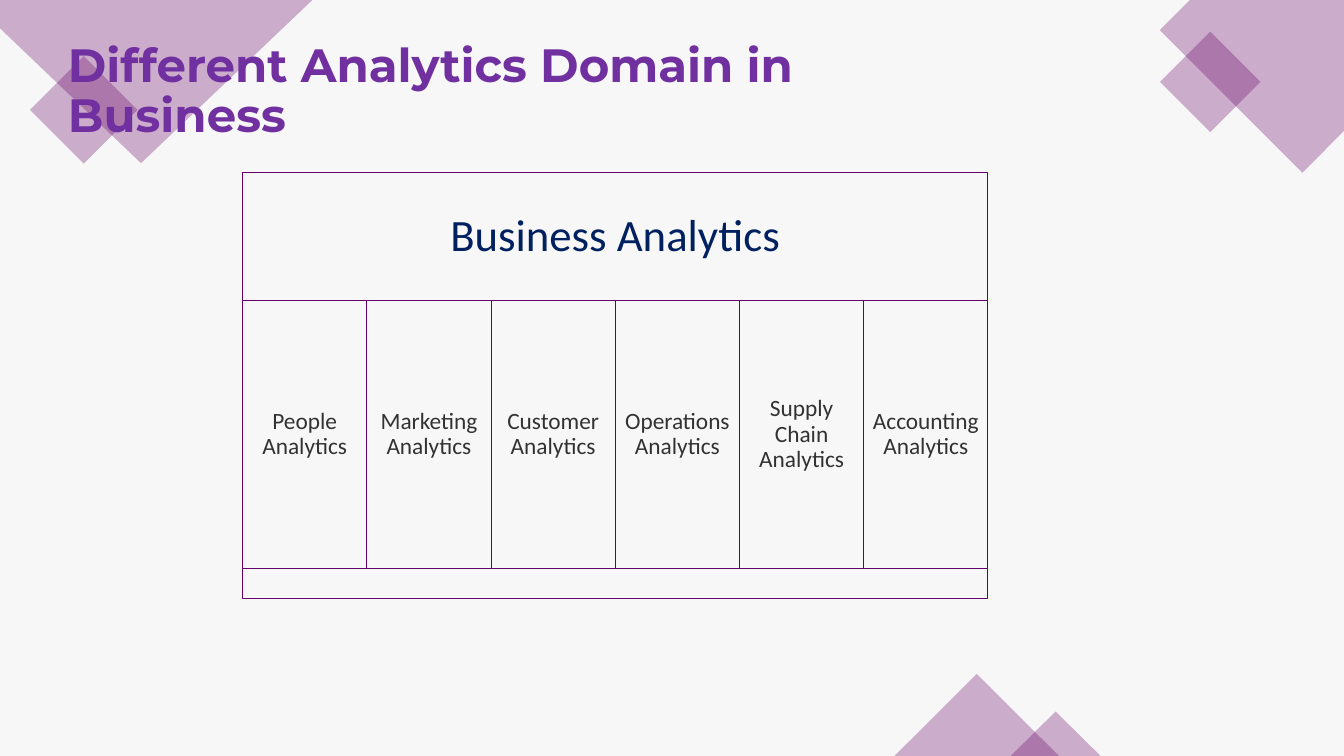
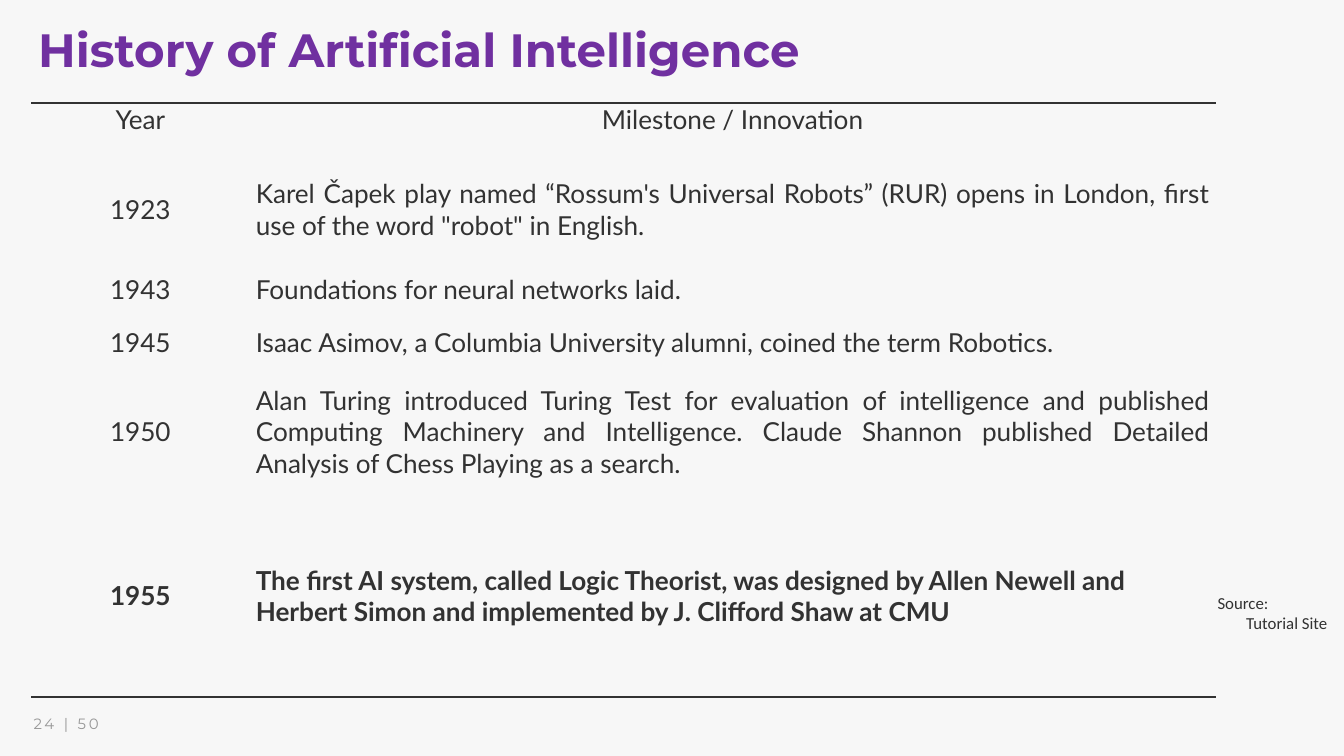
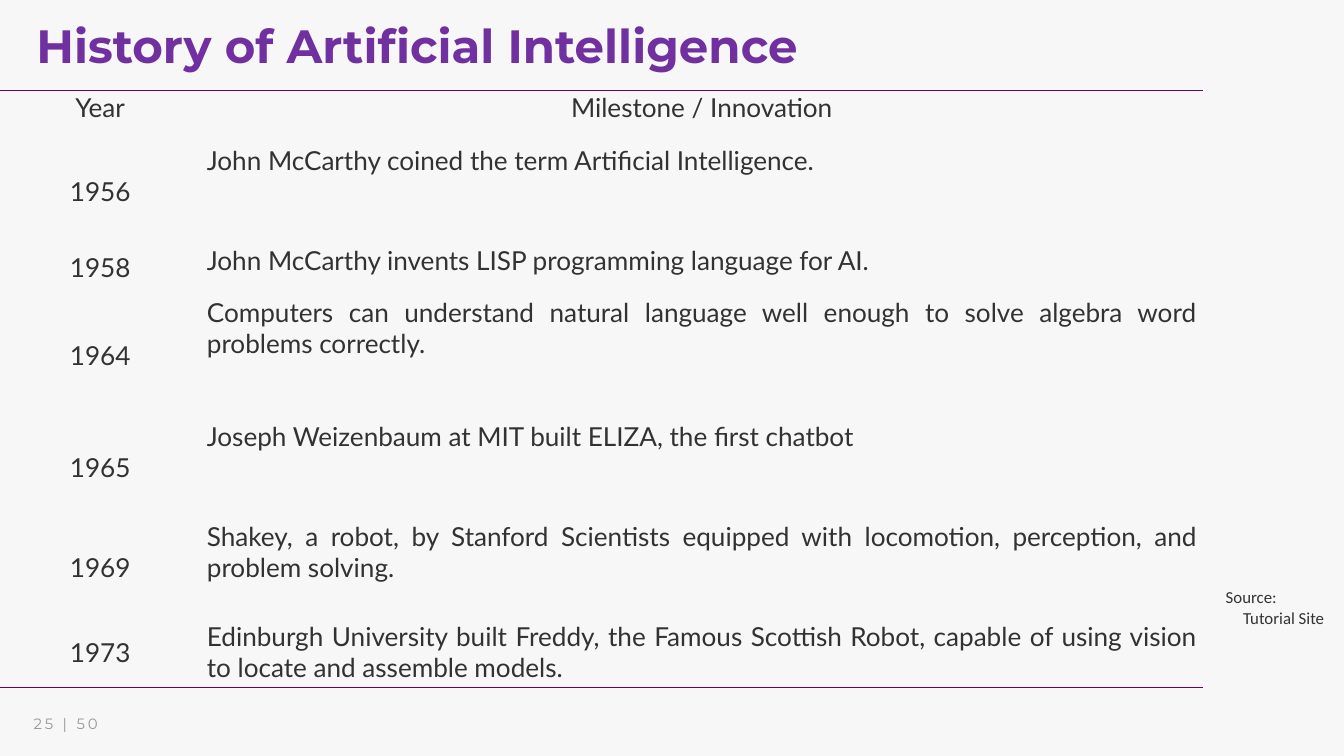
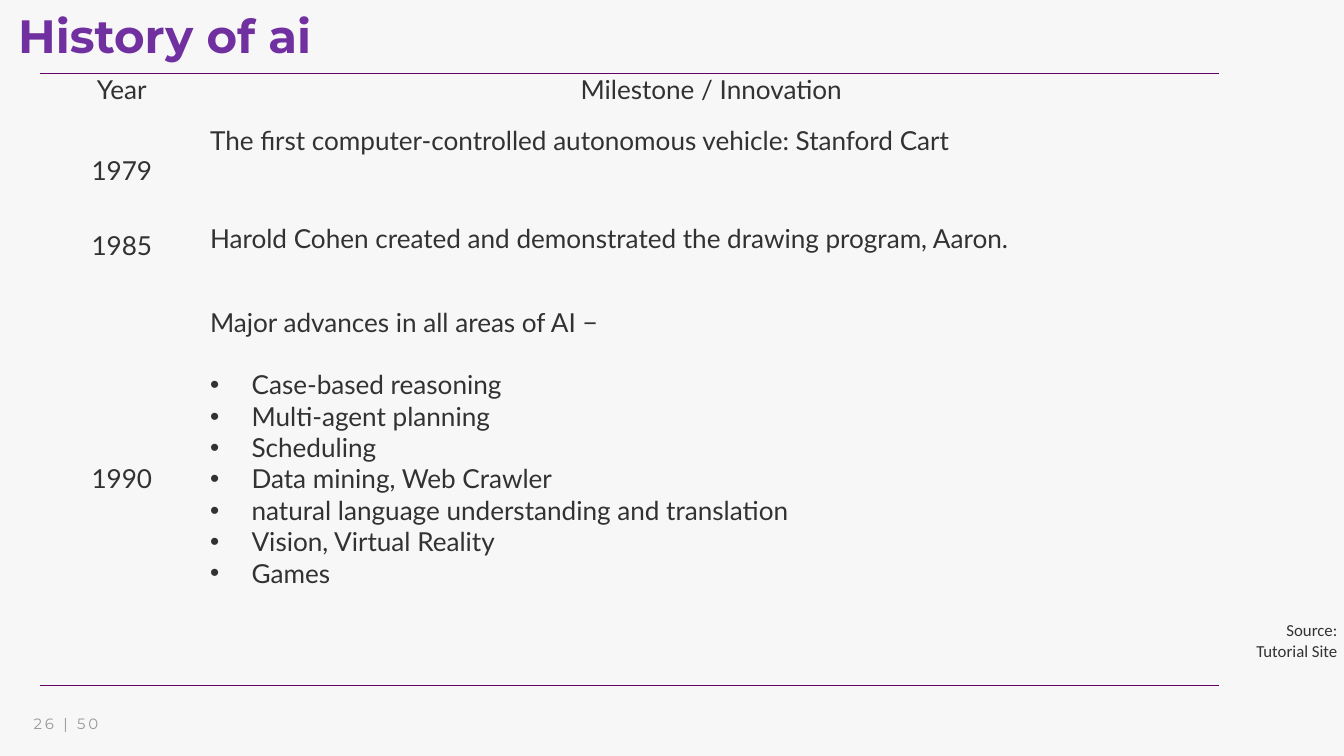
from dataclasses import dataclass

from lxml import etree
from pptx import Presentation
from pptx.dml.color import RGBColor
from pptx.enum.shapes import MSO_SHAPE as Shape
from pptx.enum.text import MSO_ANCHOR as Anchor, PP_ALIGN as Align
from pptx.oxml.ns import qn
from pptx.util import Cm, Pt

COLORS = {
    "page": "F7F7F7",
    "plum": "660066",
    "title": "7030A0",
    "navy": "002060",
    "ink": "323232",
    "grey": "989898",
}
NO_STYLE = "{2D5ABB26-0587-4C30-8999-92F81FD0307C}"
TITLE_ONLY = 5
BLANK_LINE = 33.6  # points, one line of table text
BULLET_INDENT = 1.57


@dataclass
class Box:
    x: float
    y: float
    w: float
    h: float

    def emu(self) -> tuple:
        return Cm(self.x), Cm(self.y), Cm(self.w), Cm(self.h)


@dataclass
class Milestone:
    height: float
    year: str
    text: str
    align: Align = Align.JUSTIFY
    bold: bool = False
    top: float = 0.13
    bullets: tuple = ()


@dataclass
class History:
    title: str
    title_box: Box
    page: str
    source_box: Box
    source_align: Align
    x: float
    y: float
    cols: tuple
    header_height: float
    milestones: list
    line: str = "plum"
    line_width: float = 1
    fill: str = ""
    anchor: Anchor = Anchor.TOP


DIAMONDS = [Box(1.73, 2.72, 2.87, 2.87), Box(44.4, 1.75, 2.69, 2.69)]
TRIANGLES = [Box(33.81, 25.48, 6.22, 3.1), Box(38.2, 26.9, 3.4, 1.68)]
CORNERS = [
    [(0, 0), (11.81, 0), (5.33, 6.17), (0, 1.07)],
    [(44.98, 0), (50.8, 0), (50.8, 4.95), (49.23, 6.53), (43.84, 1.14)],
]
DOMAINS = ["People", "Marketing", "Customer", "Operations", "Supply Chain", "Accounting"]

HISTORIES = [
    History(
        "History of Artificial Intelligence", Box(1.19, 0.89, 41.91, 2.82), "24 | 50",
        Box(45.77, 22.28, 4.65, 1.8), Align.LEFT, 1.19, 3.89, (8.23, 36.53), 2.03,
        [
            Milestone(3.99, "1923", "Karel Čapek play named “Rossum's Universal Robots” (RUR) opens "
                      "in London, first use of the word \"robot\" in English."),
            Milestone(2.03, "1943", "Foundations for neural networks laid."),
            Milestone(2.03, "1945", "Isaac Asimov, a Columbia University alumni, "
                      "coined the term Robotics."),
            Milestone(4.72, "1950", "Alan Turing introduced Turing Test for evaluation of "
                      "intelligence and published Computing Machinery and Intelligence. Claude "
                      "Shannon published Detailed Analysis of Chess Playing as a search."),
            Milestone(7.67, "1955", "The first AI system, called Logic Theorist, was designed by "
                      "Allen Newell and Herbert Simon and implemented by J. Clifford Shaw at CMU",
                      align=Align.LEFT, bold=True),
        ],
        line="ink", line_width=2, fill="page", anchor=Anchor.MIDDLE,
    ),
    History(
        "History of Artificial Intelligence", Box(1.12, 0.76, 41.91, 2.82), "25 | 50",
        Box(46.08, 22.07, 4.22, 1.8), Align.LEFT, 0, 3.43, (7.57, 37.9), 1.93,
        [
            Milestone(3.78, "1956", "John McCarthy coined the term Artificial Intelligence."),
            Milestone(1.93, "1958", "John McCarthy invents LISP programming language for AI."),
            Milestone(4.7, "1964", "Computers can understand natural language well enough to "
                      "solve algebra word problems correctly."),
            Milestone(3.78, "1965", "Joseph Weizenbaum at MIT built ELIZA, the first chatbot"),
            Milestone(3.78, "1969", "Shakey, a robot, by Stanford Scientists equipped with "
                      "locomotion, perception, and problem solving."),
            Milestone(2.64, "1973", "Edinburgh University built Freddy, the Famous Scottish "
                      "Robot, capable of using vision to locate and assemble models."),
        ],
    ),
    History(
        "History of ai", Box(0.43, 0.36, 41.91, 2.82), "26 | 50",
        Box(39.09, 23.32, 11.71, 1.8), Align.RIGHT, 1.52, 2.77, (6.17, 38.38), 1.8,
        [
            Milestone(3.71, "1979", "The first computer-controlled autonomous vehicle: "
                      "Stanford Cart"),
            Milestone(1.98, "1985", "Harold Cohen created and demonstrated the drawing program, "
                      "Aaron."),
            Milestone(15.65, "1990", "Major advances in all areas of AI −", top=1.32, bullets=(
                "Case-based reasoning", "Multi-agent planning", "Scheduling",
                "Data mining, Web Crawler", "natural language understanding and translation",
                "Vision, Virtual Reality", "Games")),
        ],
    ),
]


def rgb(name: str) -> RGBColor:
    return RGBColor.from_string(COLORS[name])


def write(tf, text: str, *, font="Lato", size=28, color="ink", bold=False, align=Align.LEFT,
          line=None, before=0, bullet=False, tracking=0) -> None:
    """Add one formatted paragraph, using the first one while it is empty."""
    p = tf.add_paragraph() if tf.text else tf.paragraphs[0]
    p.alignment = align
    if line:
        p.line_spacing = line
    if before:
        p.space_before = Pt(before)
    if bullet:
        pPr = p._p.get_or_add_pPr()
        pPr.set("marL", str(Cm(BULLET_INDENT)))
        pPr.set("indent", str(-Cm(BULLET_INDENT)))
        etree.SubElement(pPr, qn("a:buFont")).set("typeface", "Arial")
        etree.SubElement(pPr, qn("a:buChar")).set("char", "•")
    r = p.add_run()
    r.text = text
    r.font.name, r.font.size, r.font.bold = font, Pt(size), bold
    r.font.color.rgb = rgb(color)
    if tracking:
        r._r.get_or_add_rPr().set("spc", str(tracking * 100))


def set_margins(target, left: float, top: float, right: float, bottom: float) -> None:
    target.margin_left, target.margin_top = Cm(left), Cm(top)
    target.margin_right, target.margin_bottom = Cm(right), Cm(bottom)


def add_text_frame(s, box: Box):
    tf = s.shapes.add_textbox(*box.emu()).text_frame
    tf.word_wrap = True
    return tf


def set_title(s, text: str, box: Box) -> None:
    """Fill the title placeholder and bring it to the front."""
    sp = s.shapes.title
    sp.left, sp.top, sp.width, sp.height = box.emu()
    tf = sp.text_frame
    tf.word_wrap, tf.vertical_anchor = True, Anchor.TOP
    write(tf, text, font="Montserrat", size=50, color="title", bold=True, line=0.9)
    sp._element.getparent().append(sp._element)


def tint(sp) -> None:
    """Give a decoration its see-through plum fill."""
    sp.shadow.inherit = False
    sp.fill.solid()
    sp.fill.fore_color.rgb = rgb("plum")
    sp.line.fill.background()
    color = sp._element.spPr.find(".//" + qn("a:srgbClr"))
    etree.SubElement(color, qn("a:alpha")).set("val", "30000")


def add_decorations(s) -> None:
    for box in DIAMONDS:
        sp = s.shapes.add_shape(Shape.RECTANGLE, *box.emu())
        sp.rotation = 45
        tint(sp)
    for corner in CORNERS:
        start, *rest = [(Cm(x), Cm(y)) for x, y in corner]
        builder = s.shapes.build_freeform(*start)
        builder.add_line_segments(rest, close=True)
        tint(builder.convert_to_shape())
    for box in TRIANGLES:
        tint(s.shapes.add_shape(Shape.ISOSCELES_TRIANGLE, *box.emu()))


def add_panel(s, box: Box, text="", margin=0.25, **style) -> None:
    sp = s.shapes.add_shape(Shape.RECTANGLE, *box.emu())
    sp.shadow.inherit = False
    sp.fill.solid()
    sp.fill.fore_color.rgb = rgb("page")
    sp.line.color.rgb, sp.line.width = rgb("plum"), Pt(1)
    if text:
        tf = sp.text_frame
        tf.word_wrap, tf.vertical_anchor = True, Anchor.MIDDLE
        set_margins(tf, margin, margin, margin, margin)
        write(tf, text, font="Calibri", align=Align.CENTER, line=0.9, **style)


def add_domains_slide(prs) -> None:
    s = prs.slides.add_slide(prs.slide_layouts[TITLE_ONLY])
    add_decorations(s)
    set_title(s, "Different Analytics Domain in Business", Box(2.31, 1.45, 32.39, 4.78))
    left, top, width = 9.17, 6.53, 28.17
    head, body, foot = 4.83, 10.13, 1.12
    add_panel(s, Box(left, top, width, head), "Business Analytics", 0.51, size=48, color="navy")
    step = width / len(DOMAINS)
    for i, domain in enumerate(DOMAINS):
        add_panel(s, Box(left + i * step, top + head, step, body), f"{domain} Analytics", size=25)
    add_panel(s, Box(left, top + head + body, width, foot))


def add_border(cell, side: str, color: str, width: float) -> None:
    tcPr = cell._tc.get_or_add_tcPr()
    ln = etree.Element(qn(f"a:ln{side}"), w=str(Pt(width)))
    fill = etree.SubElement(ln, qn("a:solidFill"))
    etree.SubElement(fill, qn("a:srgbClr")).set("val", COLORS[color])
    tcPr.insert(0, ln)


def add_history_table(s, h: History) -> None:
    heights = [h.header_height] + [m.height for m in h.milestones]
    box = Box(h.x, h.y, sum(h.cols), sum(heights))
    table = s.shapes.add_table(len(heights), len(h.cols), *box.emu()).table
    table.first_row = table.horz_banding = False
    table._tbl.tblPr.find(qn("a:tableStyleId")).text = NO_STYLE
    for col, width in zip(table.columns, h.cols):
        col.width = Cm(width)
    for row, height in zip(table.rows, heights):
        row.height = Cm(height)
    for cell in table.iter_cells():
        if h.fill:
            cell.fill.solid()
            cell.fill.fore_color.rgb = rgb(h.fill)
        else:
            cell.fill.background()
        set_margins(cell, 0.03, 0.03, 0.03, 0.03)

    for i, label in enumerate(("Year", "Milestone / Innovation")):
        write(table.cell(0, i).text_frame, label, align=Align.CENTER)
        add_border(table.cell(0, i), "T", h.line, h.line_width)
        add_border(table.cell(len(h.milestones), i), "B", h.line, h.line_width)
    for i, m in enumerate(h.milestones, 1):
        year, event = table.cell(i, 0), table.cell(i, 1)
        year.vertical_anchor, event.vertical_anchor = Anchor.MIDDLE, h.anchor
        write(year.text_frame, m.year, align=Align.CENTER, bold=m.bold)
        set_margins(event, 0.25, m.top, 0.25, 0.13)
        write(event.text_frame, m.text, align=m.align, bold=m.bold)
        for j, item in enumerate(m.bullets):
            write(event.text_frame, item, bullet=True, before=0 if j else BLANK_LINE)


def add_history_slide(prs, h: History) -> None:
    s = prs.slides.add_slide(prs.slide_layouts[TITLE_ONLY])
    footer = add_text_frame(s, Box(1.27, 26.67, 6.83, 0.91))
    set_margins(footer, 0, 0, 0.25, 0)
    write(footer, h.page, font="Montserrat", size=16, color="grey", line=1.5, tracking=3)
    set_title(s, h.title, h.title_box)
    source = add_text_frame(s, h.source_box)
    write(source, "Source:", font="Calibri", size=18, align=h.source_align)
    write(source, "Tutorial Site", font="Calibri", size=18, align=Align.RIGHT)
    add_history_table(s, h)


def main() -> None:
    prs = Presentation()
    prs.slide_width, prs.slide_height = Cm(50.8), Cm(28.58)
    background = prs.slide_master.background.fill
    background.solid()
    background.fore_color.rgb = rgb("page")
    add_domains_slide(prs)
    for history in HISTORIES:
        add_history_slide(prs, history)
    prs.save("out.pptx")


if __name__ == "__main__":
    main()
